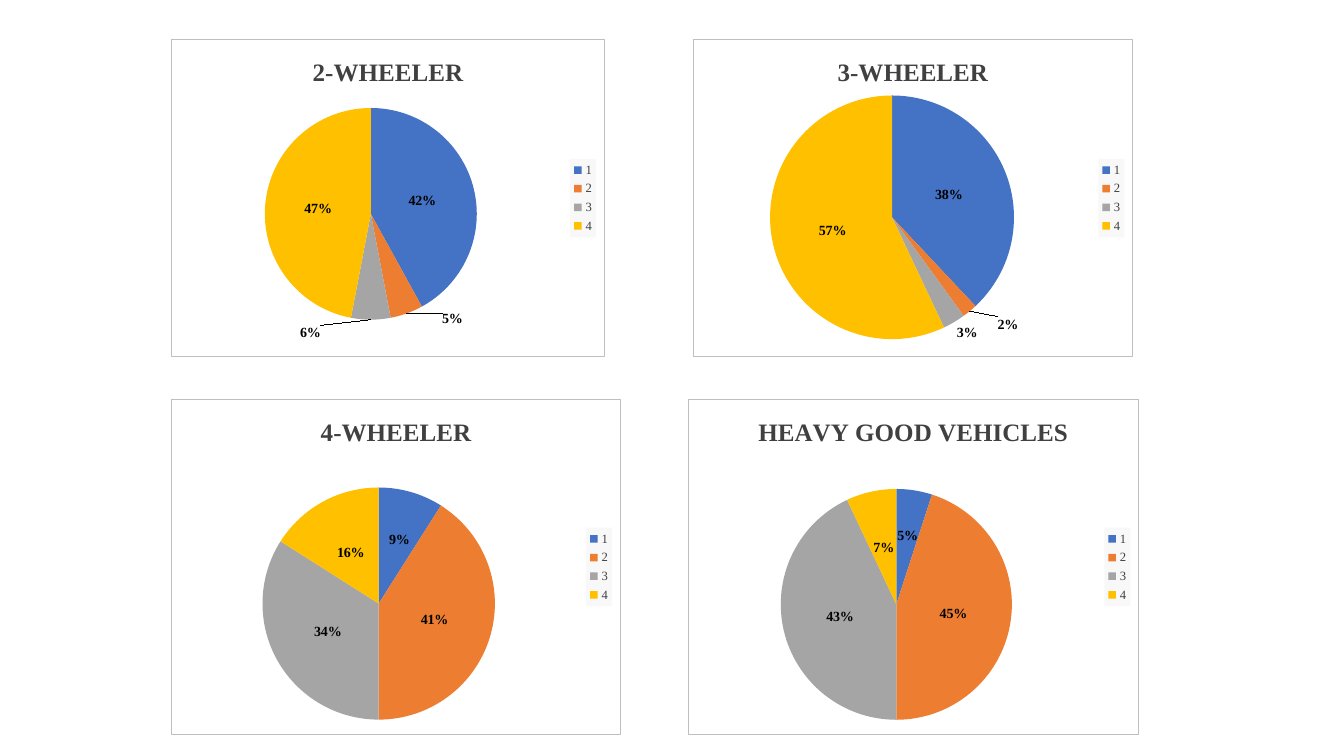
import dataclasses

import lxml.etree
import pptx
import pptx.chart.chart
import pptx.chart.data
import pptx.dml.color
import pptx.enum.chart
import pptx.oxml
import pptx.oxml.ns
import pptx.slide
import pptx.util

# Slide size, divided into a grid of 100 columns and 100 rows
SLIDE_WIDTH = pptx.util.Inches(13.33)
SLIDE_HEIGHT = pptx.util.Inches(7.5)
GRID = 100

BLACK = pptx.dml.color.RGBColor(0x00, 0x00, 0x00)
DARK_GREY = pptx.dml.color.RGBColor(0x40, 0x40, 0x40)
BORDER_GREY = pptx.dml.color.RGBColor(0xBF, 0xBF, 0xBF)
LEGEND_GREY = pptx.dml.color.RGBColor(0xF8, 0xF8, 0xF8)
WHITE = pptx.dml.color.RGBColor(0xFF, 0xFF, 0xFF)
SLICE_COLOURS = (
    pptx.dml.color.RGBColor(0x44, 0x72, 0xC4),
    pptx.dml.color.RGBColor(0xED, 0x7D, 0x31),
    pptx.dml.color.RGBColor(0xA5, 0xA5, 0xA5),
    pptx.dml.color.RGBColor(0xFF, 0xC0, 0x00),
)

FONT_NAME = "Times New Roman"
BASE_FORMAT = {"name": FONT_NAME, "size": pptx.util.Pt(10)}
LABEL_FORMAT = {**BASE_FORMAT, "bold": True}
LEGEND_FORMAT = {"name": FONT_NAME, "size": pptx.util.Pt(9), "bold": False}
TITLE_FORMAT = {"name": FONT_NAME, "size": pptx.util.Pt(18), "bold": True}

CATEGORIES = ("1", "2", "3", "4")
LEFT_COLUMN = 12.75
TOP_ROW, BOTTOM_ROW = 5.2, 52.8
TOP_HEIGHT, BOTTOM_HEIGHT = 42, 44.4


@dataclasses.dataclass(frozen=True)
class PieCard:
    title: str
    values: tuple[int, ...]
    column: float
    row: float
    columns: float
    rows: float
    # Left, top, width and height in percent of the chart
    plot: tuple[float, ...]
    # Label offsets by slice, in percent of the chart
    moved_labels: dict[int, tuple[float, float]]


PIE_CARDS = (
    PieCard("2-WHEELER", (42, 5, 6, 47), LEFT_COLUMN, TOP_ROW, 32.26, TOP_HEIGHT,
            (21.5, 21.5, 49, 67), {1: (14.7, 17.5), 2: (-14, 21)}),
    PieCard("3-WHEELER", (38, 2, 3, 57), 51.54, TOP_ROW, 32.78, TOP_HEIGHT,
            (17.5, 15.4, 55.5, 81.4), {1: (17.5, 19), 2: (10, 20)}),
    PieCard("4-WHEELER", (9, 41, 34, 16), LEFT_COLUMN, BOTTOM_ROW, 33.46, BOTTOM_HEIGHT,
            (20.2, 26.2, 51.8, 69.5), {0: (1, -2.5)}),
    PieCard("HEAVY GOOD VEHICLES", (5, 45, 43, 7), 51.16, BOTTOM_ROW, 33.61, BOTTOM_HEIGHT,
            (20.5, 26.7, 51.4, 69), {0: (0.5, -3.5)}),
)


def across(columns: float) -> int:
    return round(SLIDE_WIDTH * columns / GRID)


def down(rows: float) -> int:
    return round(SLIDE_HEIGHT * rows / GRID)


def style_font(font, values: dict, colour: pptx.dml.color.RGBColor) -> None:
    for name, value in values.items():
        setattr(font, name, value)
    font.color.rgb = colour


def chart_xml(body: str):
    tag, rest = body.split(">", 1)
    declared = pptx.oxml.ns.nsdecls("c", "a")
    return pptx.oxml.parse_xml(f"{tag} {declared}>{rest}")


def child(parent, name: str):
    return parent.find(pptx.oxml.ns.qn(name))


def manual_layout(numbers: dict[str, float], inner: bool = False):
    modes = ""
    if inner:
        modes = ('<c:layoutTarget val="inner"/><c:xMode val="edge"/>'
                 '<c:yMode val="edge"/>')
    places = "".join(f'<c:{name} val="{number / 100:.3f}"/>'
                     for name, number in numbers.items())
    return chart_xml(f"<c:layout><c:manualLayout>{modes}{places}"
                     "</c:manualLayout></c:layout>")


def area_format(fill: pptx.dml.color.RGBColor, line: str):
    return chart_xml(f'<c:spPr><a:solidFill><a:srgbClr val="{fill}"/></a:solidFill>'
                     f"{line}</c:spPr>")


def place_plot(chart: pptx.chart.chart.Chart, card: PieCard) -> None:
    area = child(child(chart.element, "c:chart"), "c:plotArea")
    old_layout = child(area, "c:layout")
    if old_layout is not None:
        area.remove(old_layout)
    area.insert(0, manual_layout(dict(zip("xywh", card.plot)), inner=True))


def label_slices(chart: pptx.chart.chart.Chart, card: PieCard) -> None:
    series = chart.plots[0].series[0]
    centre = pptx.enum.chart.XL_LABEL_POSITION.CENTER
    labels = series.data_labels
    labels.show_percentage = True
    labels.show_value = False
    labels.number_format = "0%"
    labels.number_format_is_linked = False
    labels.position = centre
    style_font(labels.font, LABEL_FORMAT, BLACK)

    # Labels shifted away from their slices
    for index, offset in card.moved_labels.items():
        label = series.points[index].data_label
        style_font(label.font, LABEL_FORMAT, BLACK)
        label.position = centre
    for element in series.data_labels._element.findall(pptx.oxml.ns.qn("c:dLbl")):
        index_element = child(element, "c:idx")
        offset = card.moved_labels[int(index_element.get("val"))]
        index_element.addnext(manual_layout(dict(zip("xy", offset))))
        child(element, "c:showVal").set("val", "0")
        child(element, "c:showPercent").set("val", "1")


def add_pie(page: pptx.slide.Slide, card: PieCard) -> None:
    data = pptx.chart.data.CategoryChartData()
    data.categories = CATEGORIES
    data.add_series(card.title, card.values)
    chart = page.shapes.add_chart(
        pptx.enum.chart.XL_CHART_TYPE.PIE, across(card.column), down(card.row),
        across(card.columns), down(card.rows), data).chart
    style_font(chart.font, BASE_FORMAT, BLACK)

    # Frame
    border = (f'<a:ln w="{pptx.util.Pt(0.75)}"><a:solidFill>'
              f'<a:srgbClr val="{BORDER_GREY}"/></a:solidFill></a:ln>')
    child(chart.element, "c:txPr").addprevious(area_format(WHITE, border))

    # Title
    chart.has_title = True
    frame = chart.chart_title.text_frame
    frame.text = card.title
    style_font(frame.paragraphs[0].runs[0].font, TITLE_FORMAT, DARK_GREY)
    chart.chart_title.include_in_layout = False

    # Legend
    chart.has_legend = True
    chart.legend.position = pptx.enum.chart.XL_LEGEND_POSITION.RIGHT
    chart.legend.include_in_layout = False
    style_font(chart.legend.font, LEGEND_FORMAT, DARK_GREY)
    legend = child(child(chart.element, "c:chart"), "c:legend")
    child(legend, "c:txPr").addprevious(
        area_format(LEGEND_GREY, "<a:ln><a:noFill/></a:ln>"))

    # Slices
    chart.plots[0].vary_by_categories = True
    series = chart.plots[0].series[0]
    for index, colour in enumerate(SLICE_COLOURS):
        slice_format = series.points[index].format
        slice_format.fill.solid()
        slice_format.fill.fore_color.rgb = colour
        slice_format.line.fill.background()
    place_plot(chart, card)
    label_slices(chart, card)


def main() -> None:
    deck = pptx.Presentation()
    deck.slide_width = SLIDE_WIDTH
    deck.slide_height = SLIDE_HEIGHT
    page = deck.slides.add_slide(deck.slide_layouts.get_by_name("Blank"))
    for card in PIE_CARDS:
        add_pie(page, card)
    deck.save("out.pptx")


if __name__ == "__main__":
    main()
